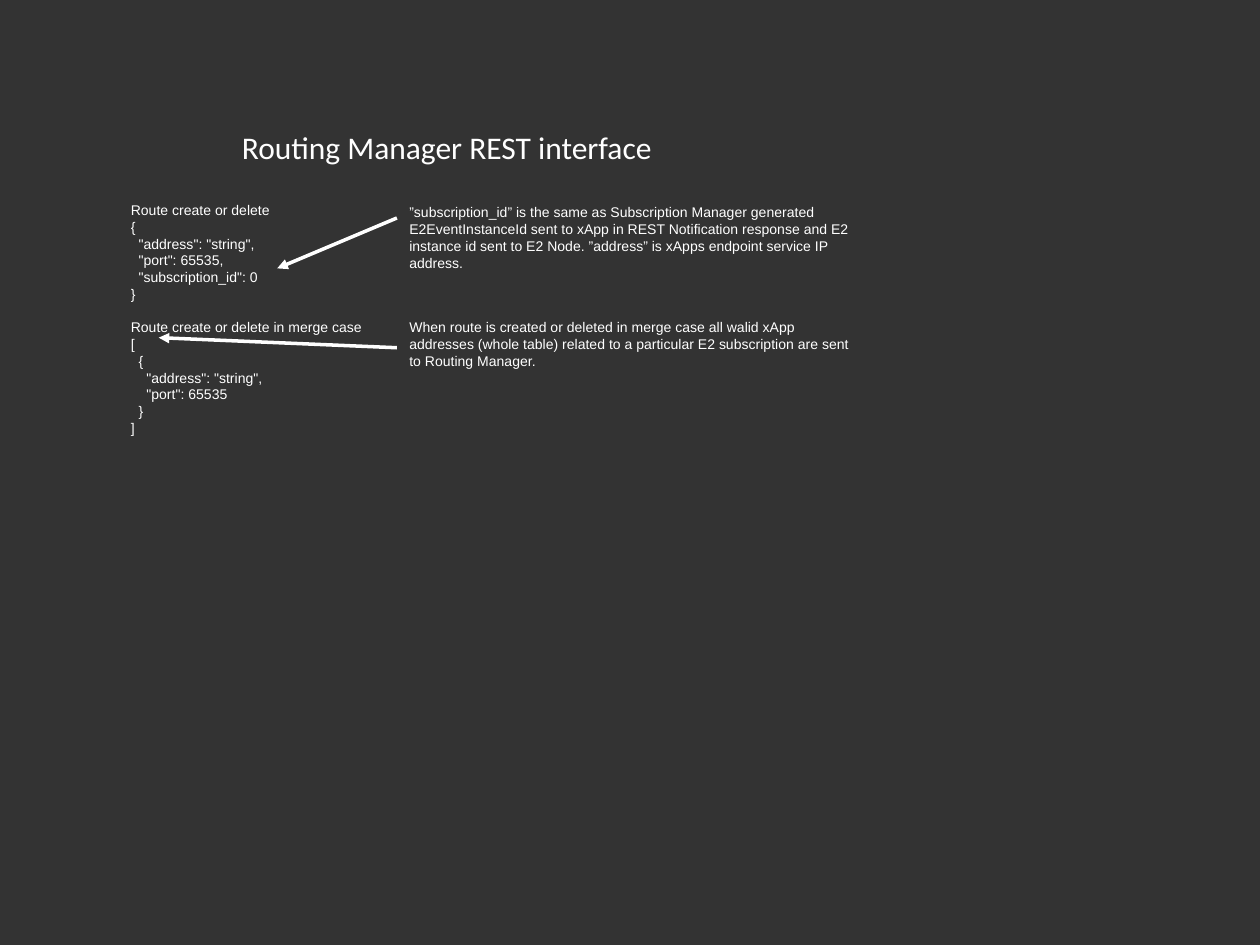
from lxml.etree import SubElement
from pptx import Presentation
from pptx.dml.color import RGBColor
from pptx.enum.shapes import MSO_CONNECTOR
from pptx.enum.text import MSO_ANCHOR
from pptx.oxml.ns import qn
from pptx.util import Pt

WHITE = RGBColor(0xFF, 0xFF, 0xFF)
DARK_GRAY = RGBColor(0x33, 0x33, 0x33)
BLOCK_GAP = 9.5

# Content: places are left, top, width, height in points
TITLE = "Routing Manager REST interface"
TITLE_PLACE = (138.24, 56.88, 309.6, 54.72)

CODE_BLOCKS = [
    [
        "Route create or delete",
        "{",
        '  "address": "string",',
        '  "port": 65535,',
        '  "subscription_id": 0',
        "}",
    ],
    [
        "Route create or delete in merge case",
        "[",
        "  {",
        '    "address": "string",',
        '    "port": 65535',
        "  }",
        "]",
    ],
]
CODE_PLACE = (67.68, 111.6, 153.36, 358.56)

NOTES = [
    ("”subscription_id” is the same as Subscription Manager generated "
     "E2EventInstanceId sent to xApp in REST Notification response and E2 "
     "instance id sent to E2 Node. ”address” is xApps endpoint service IP address.",
     (226.8, 113.04, 277.92, 43.2)),
    ("When route is created or deleted in merge case all walid xApp addresses "
     "(whole table) related to a particular E2 subscription are sent to "
     "Routing Manager.",
     (226.8, 178.56, 272.16, 59.76)),
]

# Arrows from each note to its code: x1, y1, x2, y2
ARROWS = [(226.8, 124.56, 158.4, 153.36), (226.8, 198.72, 90.72, 192.96)]


def add_text(page, blocks, place, font="Arial", size=8):
    """Write blocks of lines, with a gap before every block but the first."""
    box = page.shapes.add_textbox(*map(Pt, place))
    frame = box.text_frame
    frame.word_wrap = True
    lines = [(line, block > 0 and row == 0)
             for block, texts in enumerate(blocks)
             for row, line in enumerate(texts)]
    for index, (line, starts_block) in enumerate(lines):
        para = frame.add_paragraph() if index else frame.paragraphs[0]
        para.text = line
        para.font.name = font
        para.font.size = Pt(size)
        para.font.color.rgb = WHITE
        if starts_block:
            para.space_before = Pt(BLOCK_GAP)
    return frame


def add_arrow(page, ends):
    arrow = page.shapes.add_connector(MSO_CONNECTOR.STRAIGHT, *map(Pt, ends))
    arrow.line.color.rgb = WHITE
    arrow.line.width = Pt(0)
    SubElement(arrow.line._get_or_add_ln(), qn("a:tailEnd"), type="triangle")
    SubElement(arrow._element.spPr, qn("a:effectLst"))


def main():
    deck = Presentation()
    deck.slide_width, deck.slide_height = Pt(720), Pt(540)
    page = deck.slides.add_slide(deck.slide_layouts[6])
    page.background.fill.solid()
    page.background.fill.fore_color.rgb = DARK_GRAY

    # Title
    title = add_text(page, [[TITLE]], TITLE_PLACE, "Calibri", 18)
    title.vertical_anchor = MSO_ANCHOR.MIDDLE
    title.margin_left = title.margin_right = 0
    title.margin_top = title.margin_bottom = 0

    # Code on the left, notes on the right
    add_text(page, CODE_BLOCKS, CODE_PLACE)
    for note, place in NOTES:
        add_text(page, [[note]], place)

    for ends in ARROWS:
        add_arrow(page, ends)

    deck.save("out.pptx")


if __name__ == "__main__":
    main()
